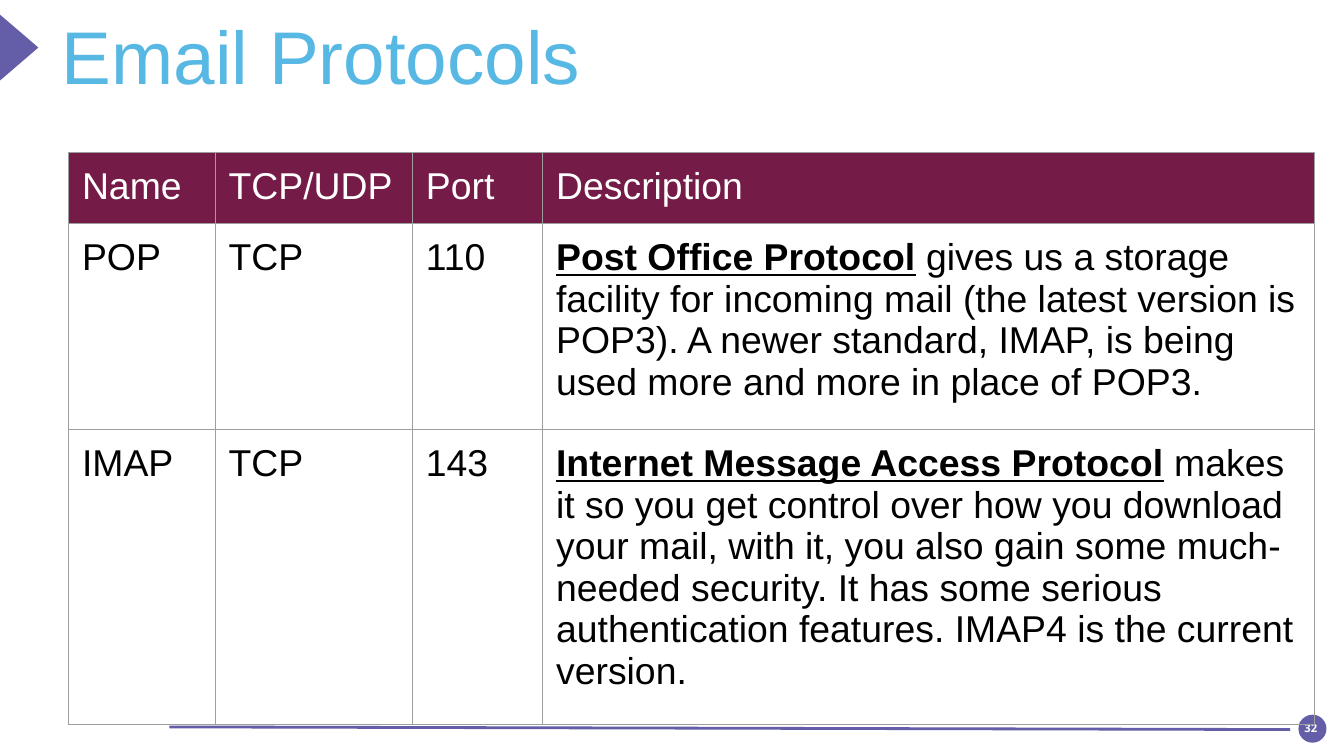
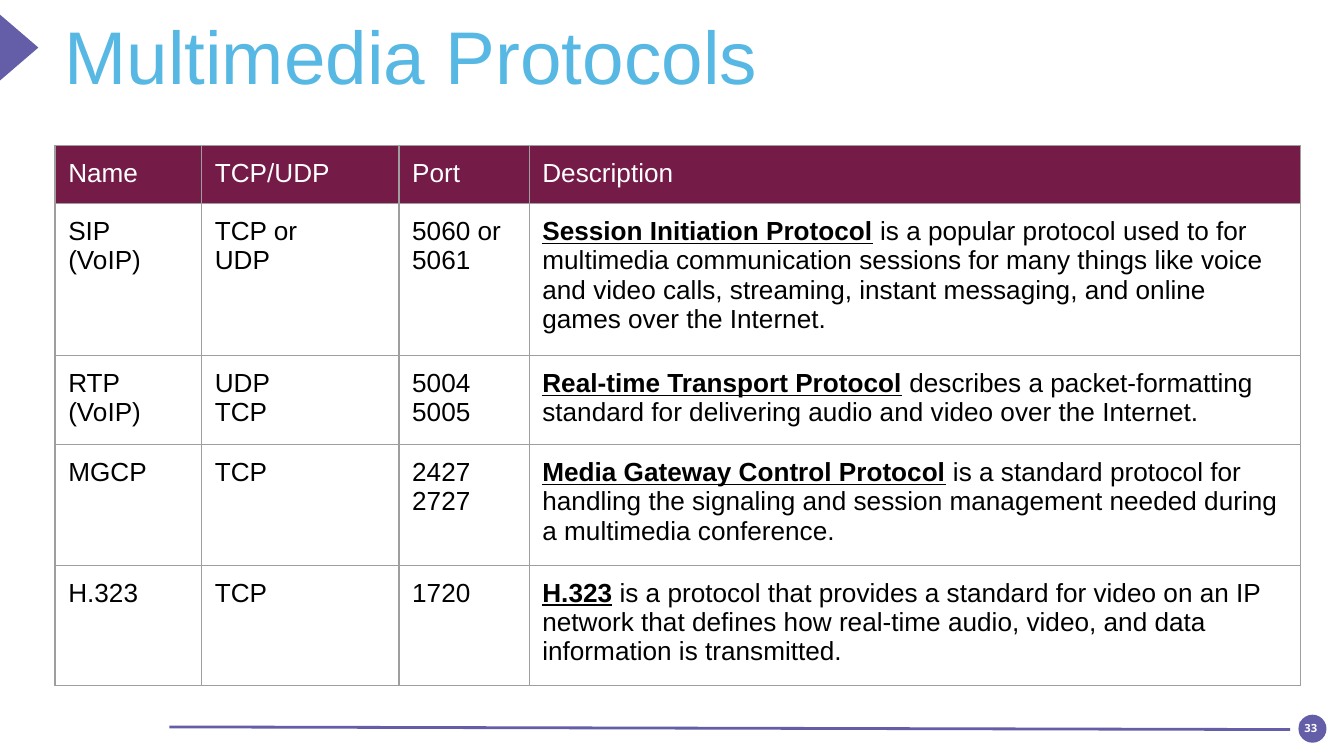
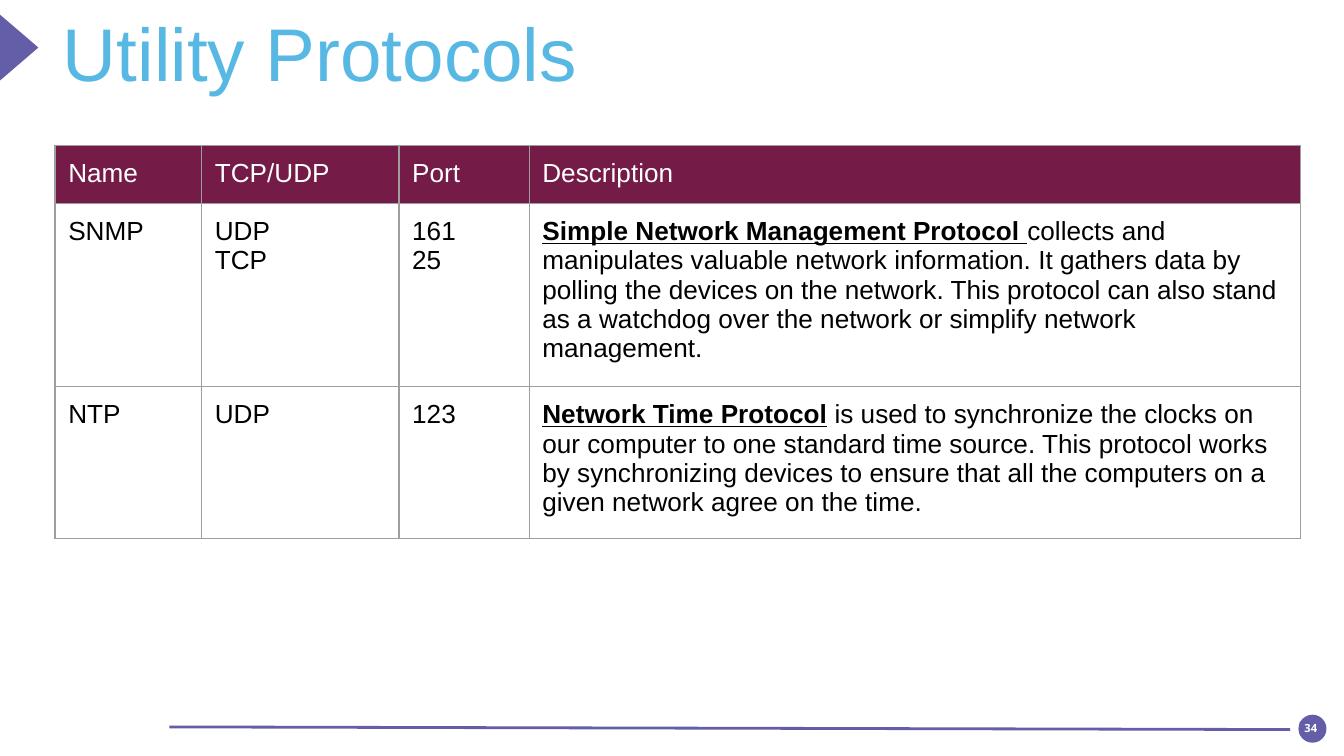
from lxml.etree import SubElement
from pptx import Presentation
from pptx.dml.color import RGBColor
from pptx.enum.shapes import MSO_CONNECTOR, MSO_SHAPE as Preset
from pptx.enum.text import MSO_ANCHOR as Anchor, PP_ALIGN as Align
from pptx.oxml.ns import qn
from pptx.util import Cm, Pt

PURPLE, SKY, PLUM = "635EA7", "58B8E4", "741B47"
WHITE, BLACK, GREY = "FFFFFF", "000000", "9E9E9E"

HEADINGS = ["Name", "TCP/UDP", "Port", "Description"]
COLUMN_WIDTHS = [2.77, 3.73, 2.46, 14.58]
ROW_HEIGHT = 1.07
CELL_MARGIN = 0.25
FIRST_PAGE = 32

# Each description is a pair: the underlined lead and the rest.
PAGES = [
    {
        "title": "Email Protocols", "title_at": (1.17, 0.15),
        "table_at": (1.3, 2.88), "size": 20,
        "rows": [
            ["POP", "TCP", "110", (
                "Post Office Protocol",
                " gives us a storage facility for incoming mail (the latest version is POP3). "
                "A newer standard, IMAP, is being used more and more in place of POP3.")],
            ["IMAP", "TCP", "143", (
                "Internet Message Access Protocol",
                " makes it so you get control over how you download your mail, with it, you "
                "also gain some much-needed security. It has some serious authentication "
                "features. IMAP4 is the current version.")],
        ],
    },
    {
        "title": "Multimedia Protocols", "title_at": (1.22, 0.15),
        "table_at": (1.04, 2.75), "size": 14,
        "rows": [
            ["SIP\n(VoIP)", "TCP or\nUDP", "5060 or 5061", (
                "Session Initiation Protocol",
                " is a popular protocol used to for multimedia communication sessions for "
                "many things like voice and video calls, streaming, instant messaging, and "
                "online games over the Internet.")],
            ["RTP\n(VoIP)", "UDP\nTCP", "5004\n5005", (
                "Real-time Transport Protocol",
                " describes a packet-formatting standard for delivering audio and video "
                "over the Internet.")],
            ["MGCP", "TCP", "2427 2727", (
                "Media Gateway Control Protocol",
                " is a standard protocol for handling the signaling and session management "
                "needed during a multimedia conference.")],
            ["H.323", "TCP", "1720", (
                "H.323",
                " is a protocol that provides a standard for video on an IP network that "
                "defines how real-time audio, video, and data information is transmitted.")],
        ],
    },
    {
        "title": "Utility Protocols", "title_at": (1.19, 0.1),
        "table_at": (1.04, 2.75), "size": 14,
        "rows": [
            ["SNMP", "UDP\nTCP", "161\n25", (
                "Simple Network Management Protocol ",
                "collects and manipulates valuable network information. It gathers data by "
                "polling the devices on the network. This protocol can also stand as a "
                "watchdog over the network or simplify network management.")],
            ["NTP", "UDP", "123", (
                "Network Time Protocol",
                " is used to synchronize the clocks on our computer to one standard time "
                "source. This protocol works by synchronizing devices to ensure that all "
                "the computers on a given network agree on the time.")],
        ],
    },
]


def rgb(color):
    return RGBColor.from_string(color)


def set_all(target, values):
    for name, value in values.items():
        setattr(target, name, value)


def margins(size):
    sides = ("left", "right", "top", "bottom")
    return {f"margin_{side}": Cm(size) for side in sides}


class Deck:
    """Holds the shared style and the slide being filled."""

    title_format = {"name": "Arial", "size": Pt(40)}
    number_format = {"name": "Open Sans", "size": Pt(6), "bold": True}
    lead_format = {"bold": True, "underline": True}

    def __init__(self):
        self.presentation = Presentation()
        set_all(self.presentation, {"slide_width": Cm(25.4), "slide_height": Cm(14.29)})
        self.slide = None

    def new_slide(self, number):
        layout = self.presentation.slide_layouts[6]
        self.slide = self.presentation.slides.add_slide(layout)
        self.shape(Preset.OVAL, 24.54, 13.51, 0.53, 0.53)
        badge = self.shape(Preset.RECTANGLE, 24.56, 13.64, 0.43, 0.25)
        set_all(badge.text_frame, {**margins(0), "vertical_anchor": Anchor.TOP})
        paragraph = badge.text_frame.paragraphs[0]
        paragraph.alignment = Align.CENTER
        self.run(paragraph, str(number), WHITE, self.number_format)
        self.line(24.38, 13.79, 3.2, 13.74)
        self.shape(Preset.ISOSCELES_TRIANGLE, -0.28, 0.53, 1.27, 0.74).rotation = 90

    def shape(self, preset, *box):
        shape = self.slide.shapes.add_shape(preset, *map(Cm, box))
        shape.shadow.inherit = False
        shape.fill.solid()
        shape.fill.fore_color.rgb = rgb(PURPLE)
        shape.line.fill.background()
        return shape

    def line(self, *ends):
        line = self.slide.shapes.add_connector(MSO_CONNECTOR.STRAIGHT, *map(Cm, ends))
        line.line.color.rgb = rgb(PURPLE)
        line.line.width = Pt(1.5)
        SubElement(line._element.spPr, qn("a:effectLst"))

    def run(self, paragraph, text, color, values):
        run = paragraph.add_run()
        run.text = text
        run.font.color.rgb = rgb(color)
        set_all(run.font, values)

    def title(self, text, left, top):
        box = self.slide.shapes.add_textbox(Cm(left), Cm(top), Cm(23.72), Cm(1.75))
        set_all(box.text_frame,
                {**margins(0), "word_wrap": True, "vertical_anchor": Anchor.MIDDLE})
        self.run(box.text_frame.paragraphs[0], text, SKY, self.title_format)

    def table(self, rows, left, top, size):
        rows = [HEADINGS, *rows]
        frame = self.slide.shapes.add_table(
            len(rows), len(HEADINGS), Cm(left), Cm(top),
            Cm(sum(COLUMN_WIDTHS)), Cm(ROW_HEIGHT * len(rows)))
        table = frame.table
        set_all(table, {"first_row": False, "horz_banding": False})
        for column, width in zip(table.columns, COLUMN_WIDTHS):
            column.width = Cm(width)
        for row_index, contents in enumerate(rows):
            table.rows[row_index].height = Cm(ROW_HEIGHT)
            for column_index, content in enumerate(contents):
                cell = table.cell(row_index, column_index)
                self.cell(cell, content, size, row_index == 0)

    def cell(self, cell, content, size, is_heading):
        set_all(cell, margins(CELL_MARGIN))
        self.borders(cell)
        if is_heading:
            cell.fill.solid()
            cell.fill.fore_color.rgb = rgb(PLUM)
        else:
            cell.fill.background()
        color = WHITE if is_heading else BLACK
        text_format = {"name": "Arial", "size": Pt(size), "bold": False}
        paragraph = cell.text_frame.paragraphs[0]
        if isinstance(content, tuple):
            lead, rest = content
            self.run(paragraph, lead, color, {**text_format, **self.lead_format})
            self.run(paragraph, rest, color, text_format)
            return
        for index, text in enumerate(content.split("\n")):
            if index:
                paragraph = cell.text_frame.add_paragraph()
            self.run(paragraph, text, color, text_format)

    def borders(self, cell):
        """Add the four border lines; they must come before the cell's fill."""
        properties = cell._tc.get_or_add_tcPr()
        for side in "LRTB":
            border = SubElement(properties, qn(f"a:ln{side}"), w=str(Pt(0.75)))
            fill = SubElement(border, qn("a:solidFill"))
            SubElement(fill, qn("a:srgbClr"), val=GREY)


def main():
    deck = Deck()
    for number, page in enumerate(PAGES, FIRST_PAGE):
        deck.new_slide(number)
        deck.title(page["title"], *page["title_at"])
        deck.table(page["rows"], *page["table_at"], page["size"])
    deck.presentation.save("out.pptx")


if __name__ == "__main__":
    main()
